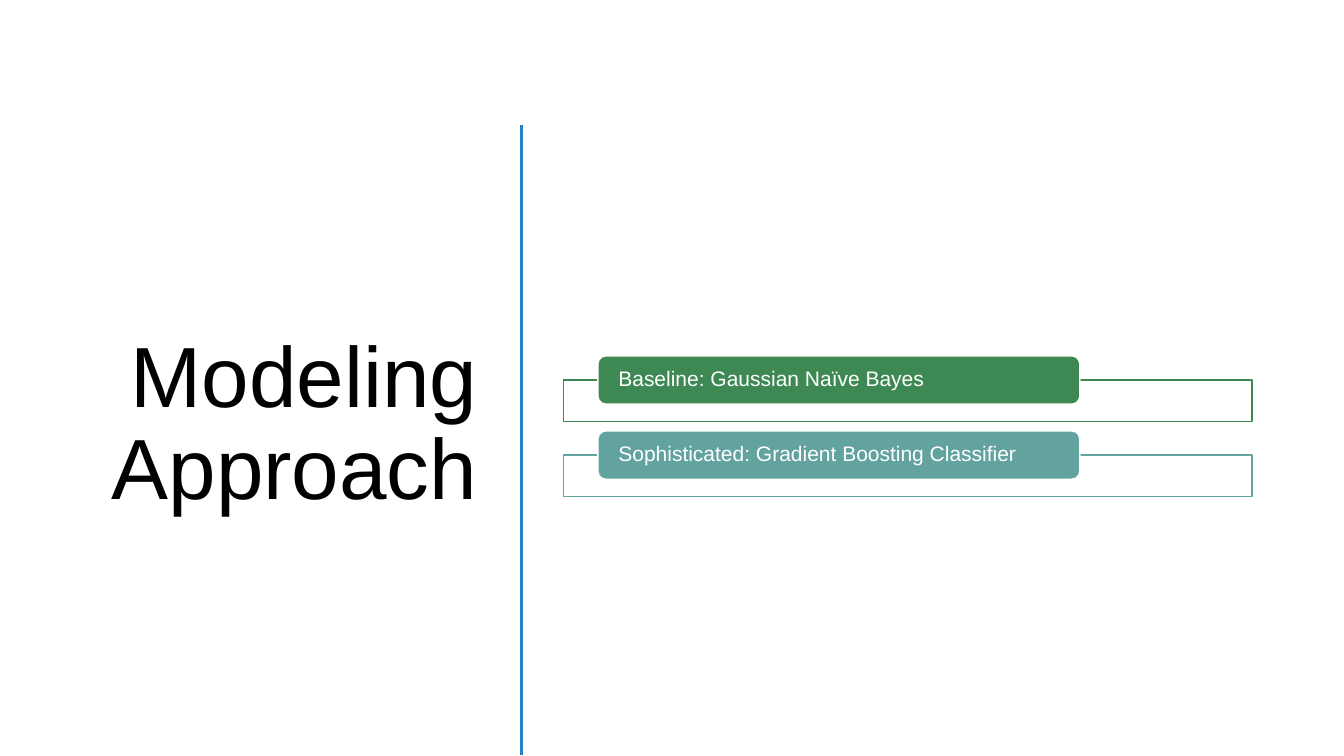
from dataclasses import dataclass

from lxml.etree import SubElement
from pptx import Presentation
from pptx.dml.color import RGBColor as Rgb
from pptx.enum.shapes import MSO_CONNECTOR as Wire, MSO_SHAPE as Kind
from pptx.enum.text import MSO_ANCHOR as Anchor, PP_ALIGN as Align
from pptx.oxml.ns import qn
from pptx.shapes.autoshape import Shape
from pptx.slide import Slide
from pptx.util import Inches, Pt

HUES = {
    "black": "000000",
    "white": "FFFFFF",
    "blue": "2683C6",
    "green": "3E8853",
    "teal": "62A39F",
}
FONT = "Arial"
TOP = 3.53
STEP = 0.745


@dataclass
class Model:
    label: str
    hue: str


MODELS = [
    Model("Baseline: Gaussian Naïve Bayes", "green"),
    Model("Sophisticated: Gradient Boosting Classifier", "teal"),
]


def tint(hue: str) -> Rgb:
    return Rgb.from_string(HUES[hue])


def write(shape: Shape, text: str, size: float, hue: str, align: Align) -> None:
    frame = shape.text_frame
    frame.word_wrap = True
    frame.vertical_anchor = Anchor.MIDDLE
    line = frame.paragraphs[0]
    line.text = text
    line.alignment = align
    line.line_spacing = 0.9
    line.font.name = FONT
    line.font.size = Pt(size)
    line.font.color.rgb = tint(hue)


def add_box(slide: Slide, kind: Kind, left: float, top: float, width: float,
            height: float, fill: str, edge: str) -> Shape:
    box = slide.shapes.add_shape(
        kind, Inches(left), Inches(top), Inches(width), Inches(height))
    box.shadow.inherit = False
    box.fill.solid()
    box.fill.fore_color.rgb = tint(fill)
    box.line.color.rgb = tint(edge)
    box.line.width = Pt(1)
    return box


def add_model(slide: Slide, model: Model, top: float) -> None:
    panel = add_box(slide, Kind.RECTANGLE, 5.59, top + 0.24, 6.83, 0.41,
                    "white", model.hue)
    color = panel.fill._xPr.find(qn("a:solidFill"))[0]
    SubElement(color, qn("a:alpha"), val="90000")
    pill = add_box(slide, Kind.ROUNDED_RECTANGLE, 5.93, top, 4.78, 0.48,
                   model.hue, "white")
    frame = pill.text_frame
    frame.margin_left = frame.margin_right = Inches(0.18)
    frame.margin_top = frame.margin_bottom = 0
    write(pill, model.label, 15, "white", Align.LEFT)


def add_rule(slide: Slide) -> None:
    rule = slide.shapes.add_connector(
        Wire.STRAIGHT, Inches(5.17), Inches(1.24), Inches(5.17), Inches(7.49))
    rule.line.color.rgb = tint("blue")
    rule.line.width = Pt(2)
    SubElement(rule._element.spPr, qn("a:effectLst"))


def main() -> None:
    deck = Presentation()
    deck.slide_width = Inches(13.33)
    deck.slide_height = Inches(7.5)
    slide = deck.slides.add_slide(deck.slide_layouts[6])
    title = slide.shapes.add_textbox(
        Inches(0.52), Inches(1.17), Inches(4.31), Inches(6.11))
    write(title, "Modeling Approach", 61, "black", Align.RIGHT)
    add_rule(slide)
    for row, model in enumerate(MODELS):
        add_model(slide, model, TOP + row * STEP)
    deck.save("out.pptx")


if __name__ == "__main__":
    main()
